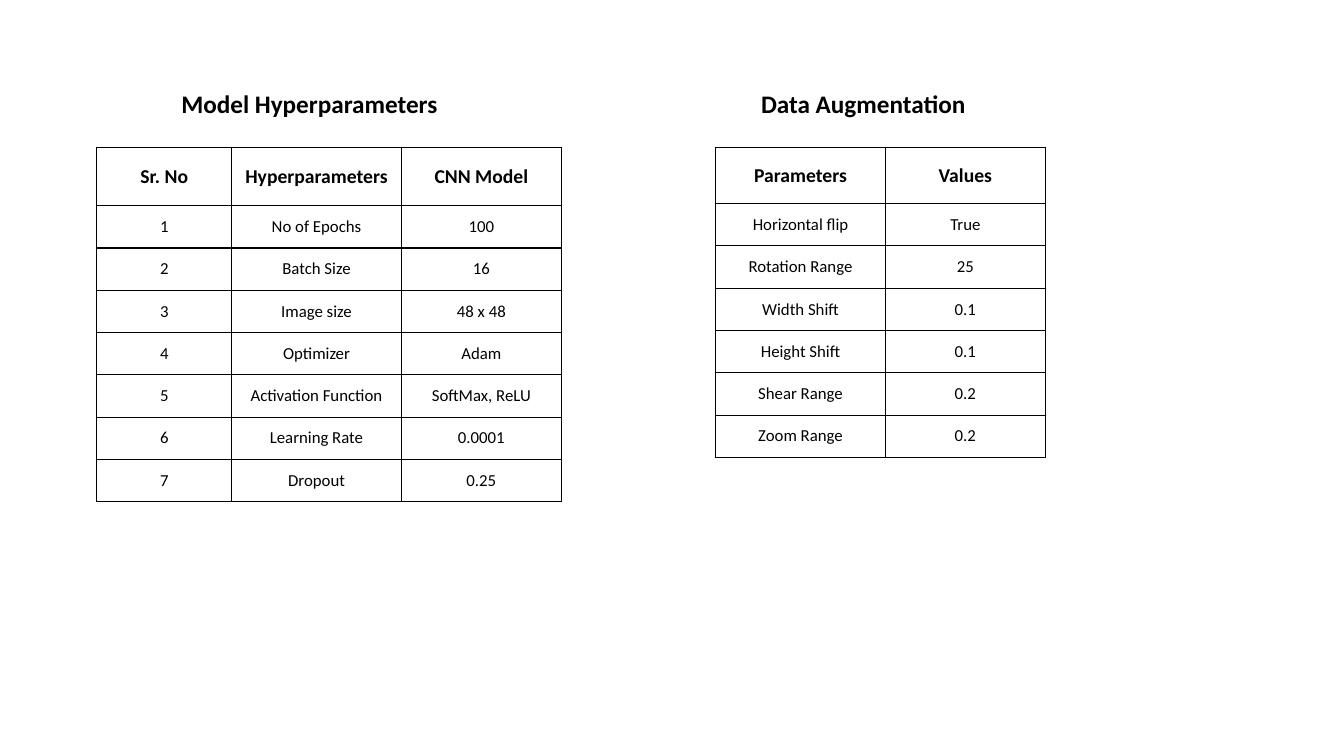
from dataclasses import dataclass

from lxml.etree import SubElement
from pptx import Presentation
from pptx.dml.color import RGBColor
from pptx.enum.text import MSO_ANCHOR, MSO_AUTO_SIZE, PP_ALIGN
from pptx.oxml import parse_xml
from pptx.oxml.ns import nsdecls, qn
from pptx.util import Inches, Pt


@dataclass(frozen=True)
class Theme:
    font: str = "Calibri"
    ink: str = "000000"
    title: int = 18
    header: int = 14
    body: int = 12
    border: int = 1


THEME = Theme()
COLUMN_WIDTHS = {"number": 1.34, "name": 1.68, "value": 1.59}
ROW_HEIGHT = 0.42
TITLE_RISE = 0.63

HYPERPARAMETERS = [
    ("Sr. No", "Hyperparameters", "CNN Model"),
    ("1", "No of Epochs", "100"),
    ("2", "Batch Size", "16"),
    ("3", "Image size", "48 x 48"),
    ("4", "Optimizer", "Adam"),
    ("5", "Activation Function", "SoftMax, ReLU"),
    ("6", "Learning Rate", "0.0001"),
    ("7", "Dropout", "0.25"),
]
AUGMENTATION = [
    ("Parameters", "Values"),
    ("Horizontal flip", "True"),
    ("Rotation Range", "25"),
    ("Width Shift", "0.1"),
    ("Height Shift", "0.1"),
    ("Shear Range", "0.2"),
    ("Zoom Range", "0.2"),
]


def write(tf, text, size, bold, align):
    p = tf.paragraphs[0]
    p.alignment = align
    r = p.add_run()
    r.text = text
    font_format = {"name": THEME.font, "size": Pt(size), "bold": bold}
    for name, value in font_format.items():
        setattr(r.font, name, value)
    r.font.color.rgb = RGBColor.from_string(THEME.ink)


def add_borders(cell):
    """Put a solid line on all four sides; lines must precede the fill."""
    properties = cell._tc.get_or_add_tcPr()
    for index, side in enumerate(("lnL", "lnR", "lnT", "lnB")):
        line = parse_xml(f'<a:{side} {nsdecls("a")} w="{Pt(THEME.border)}"/>')
        fill = SubElement(line, qn("a:solidFill"))
        SubElement(fill, qn("a:srgbClr"), val=THEME.ink)
        properties.insert(index, line)


def add_title(s, text, left, top, width):
    box = s.shapes.add_textbox(
        Inches(left), Inches(top), Inches(width), Inches(0.4))
    tf = box.text_frame
    tf.word_wrap = True
    tf.auto_size = MSO_AUTO_SIZE.SHAPE_TO_FIT_TEXT
    write(tf, text, THEME.title, True, PP_ALIGN.JUSTIFY)


def add_grid(s, rows, columns, left, top, header_height):
    widths = [COLUMN_WIDTHS[name] for name in columns]
    heights = [header_height] + [ROW_HEIGHT] * (len(rows) - 1)
    table = s.shapes.add_table(
        len(rows), len(widths), Inches(left), Inches(top),
        Inches(sum(widths)), Inches(sum(heights))).table
    table.horz_banding = False
    for column, width in zip(table.columns, widths):
        column.width = Inches(width)
    for row, height in zip(table.rows, heights):
        row.height = Inches(height)
    for i, values in enumerate(rows):
        size = THEME.body if i else THEME.header
        for cell, text in zip(table.rows[i].cells, values):
            cell.fill.background()
            cell.vertical_anchor = MSO_ANCHOR.MIDDLE
            write(cell.text_frame, text, size, i == 0, PP_ALIGN.CENTER)
            add_borders(cell)


def add_section(s, left, top, title, title_indent, title_width,
                rows, columns, header_height):
    """Place a titled table with the table's top left corner at left, top."""
    add_grid(s, rows, columns, left, top, header_height)
    add_title(s, title, left + title_indent, top - TITLE_RISE, title_width)


def main():
    prs = Presentation()
    prs.slide_width, prs.slide_height = Inches(13.33), Inches(7.5)
    s = prs.slides.add_slide(prs.slide_layouts[6])
    add_section(s, 0.96, 1.46, "Model Hyperparameters", 0.74, 4.32,
                HYPERPARAMETERS, ("number", "name", "value"), 0.58)
    add_section(s, 7.1, 1.46, "Data Augmentation", 0.35, 2.91,
                AUGMENTATION, ("name", "value"), 0.56)
    prs.save("out.pptx")


if __name__ == "__main__":
    main()
